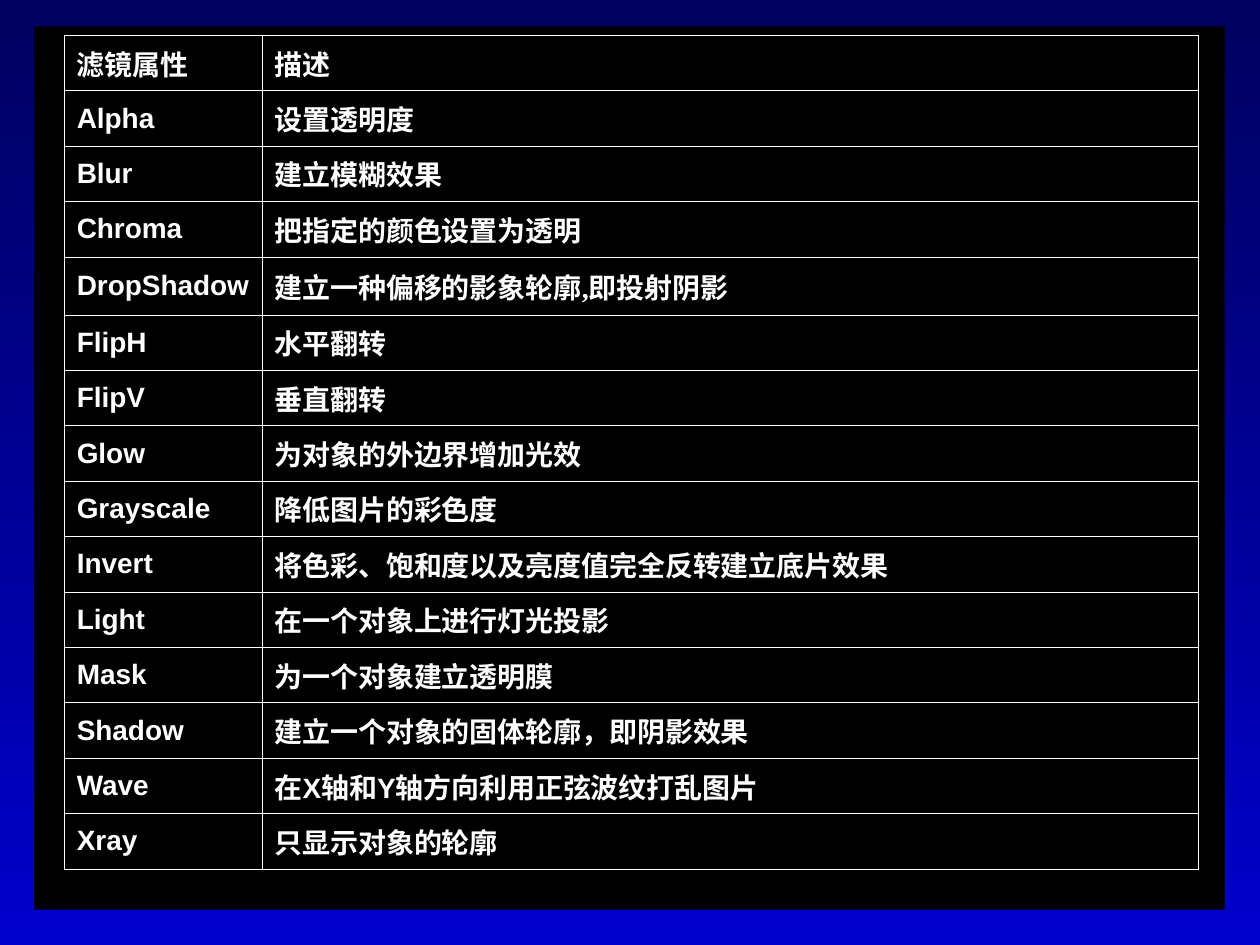
from lxml.etree import SubElement
from pptx import Presentation
from pptx.dml.color import RGBColor
from pptx.enum.shapes import MSO_SHAPE as SHAPE
from pptx.enum.text import MSO_ANCHOR as ANCHOR
from pptx.oxml.ns import qn
from pptx.util import Inches, Pt

COLORS = {"top": "00005E", "bottom": "0000CC", "panel": "000000", "text": "FFFFFF"}
LATIN, BODY = "Arial", "Times New Roman"
HEADER = ("滤镜属性", "描述")
FILTERS = [
    ("Alpha", ["设置透明度"]),
    ("Blur", ["建立模糊效果"]),
    ("Chroma", ["把指定的颜色设置为透明"]),
    ("DropShadow", ["建立一种偏移的影象轮廓,即投射阴影"]),
    ("FlipH", ["水平翻转"]),
    ("FlipV", ["垂直翻转"]),
    ("Glow", ["为对象的外边界增加光效"]),
    ("Grayscale", ["降低图片的彩色度"]),
    ("Invert", ["将色彩、饱和度以及亮度值完全反转建立底片效果"]),
    ("Light", ["在一个对象上进行灯光投影"]),
    ("Mask", ["为一个对象建立透明膜"]),
    ("Shadow", ["建立一个对象的固体轮廓，即阴影效果"]),
    ("Wave", ["在", "X", "轴和", "Y", "轴方向利用正弦波纹打乱图片"]),
    ("Xray", ["只显示对象的轮廓"]),
]
COL_WIDTHS = (1.57, 7.43)
ROW_HEIGHT, TALL_ROW, TALL_HEIGHT = 0.44, 4, 0.46
CELL = {
    "margin_left": Inches(0.1), "margin_right": Inches(0.1),
    "margin_top": Inches(0.05), "margin_bottom": Inches(0.05),
    "vertical_anchor": ANCHOR.MIDDLE,
}
TABLE_FLAGS = {"first_row": False, "horz_banding": False}
FONT = {"size": Pt(16), "bold": True}
HANGING = {"marL": Inches(0.38), "indent": Inches(-0.38)}


def rgb(name):
    return RGBColor.from_string(COLORS[name])


def apply(target, values):
    for name, value in values.items():
        setattr(target, name, value)


def add_borders(cell):
    tc_pr = cell._tc.get_or_add_tcPr()
    for side in ("lnL", "lnR", "lnT", "lnB"):
        ln = SubElement(tc_pr, qn(f"a:{side}"), w=str(Pt(0.45)))
        fill = SubElement(ln, qn("a:solidFill"))
        SubElement(fill, qn("a:srgbClr"), val=COLORS["text"])


def fill_cell(cell, runs):
    apply(cell, CELL)
    add_borders(cell)
    cell.fill.background()
    p = cell.text_frame.paragraphs[0]
    p_pr = p._p.get_or_add_pPr()
    for name, value in HANGING.items():
        p_pr.set(name, str(int(value)))
    for text, font in runs:
        r = p.add_run()
        r.text = text
        apply(r.font, {**FONT, "name": font})
        r.font.color.rgb = rgb("text")


def main():
    prs = Presentation()
    prs.slide_width, prs.slide_height = Inches(10), Inches(7.5)
    s = prs.slides.add_slide(prs.slide_layouts[6])

    bg = s.background.fill
    bg.gradient()
    bg.gradient_angle = 270
    for stop, name in zip(bg.gradient_stops, ("top", "bottom")):
        stop.color.rgb = rgb(name)

    panel = s.shapes.add_shape(SHAPE.RECTANGLE, Inches(0.27), Inches(0.21), Inches(9.45), Inches(7.01))
    panel.shadow.inherit = False
    panel.fill.solid()
    panel.fill.fore_color.rgb = rgb("panel")
    panel.line.fill.background()

    rows = [[[(text, LATIN)] for text in HEADER]]
    for name, parts in FILTERS:
        description = [(t, LATIN if t.isascii() else BODY) for t in parts]
        rows.append([[(name, LATIN)], description])

    heights = [TALL_HEIGHT if i == TALL_ROW else ROW_HEIGHT for i in range(len(rows))]
    table = s.shapes.add_table(
        len(rows), len(COL_WIDTHS), Inches(0.51), Inches(0.28),
        Inches(sum(COL_WIDTHS)), Inches(sum(heights)),
    ).table
    apply(table, TABLE_FLAGS)
    for column, width in zip(table.columns, COL_WIDTHS):
        column.width = Inches(width)
    for row, height, contents in zip(table.rows, heights, rows):
        row.height = Inches(height)
        for cell, runs in zip(row.cells, contents):
            fill_cell(cell, runs)

    prs.save("out.pptx")


if __name__ == "__main__":
    main()
